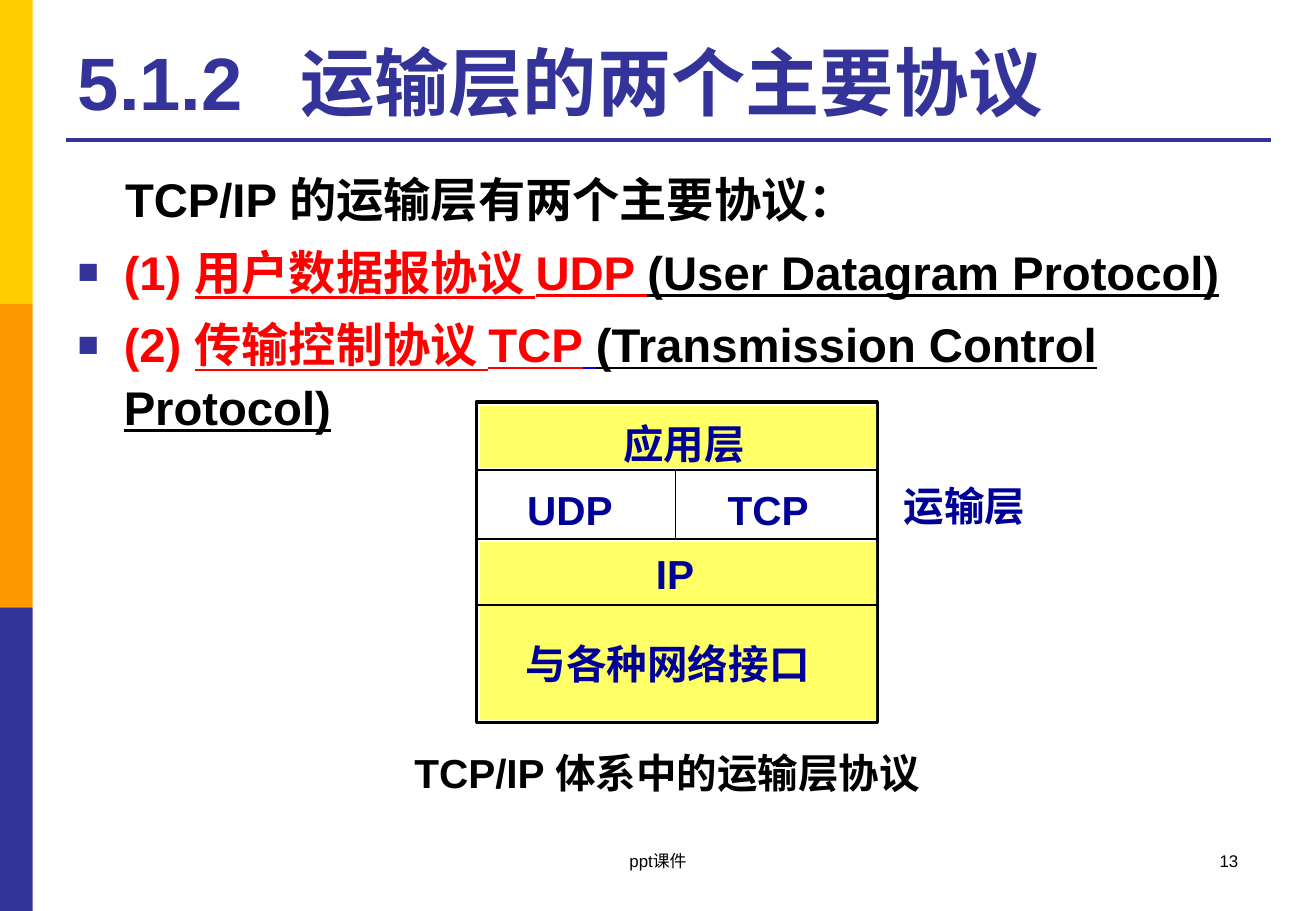
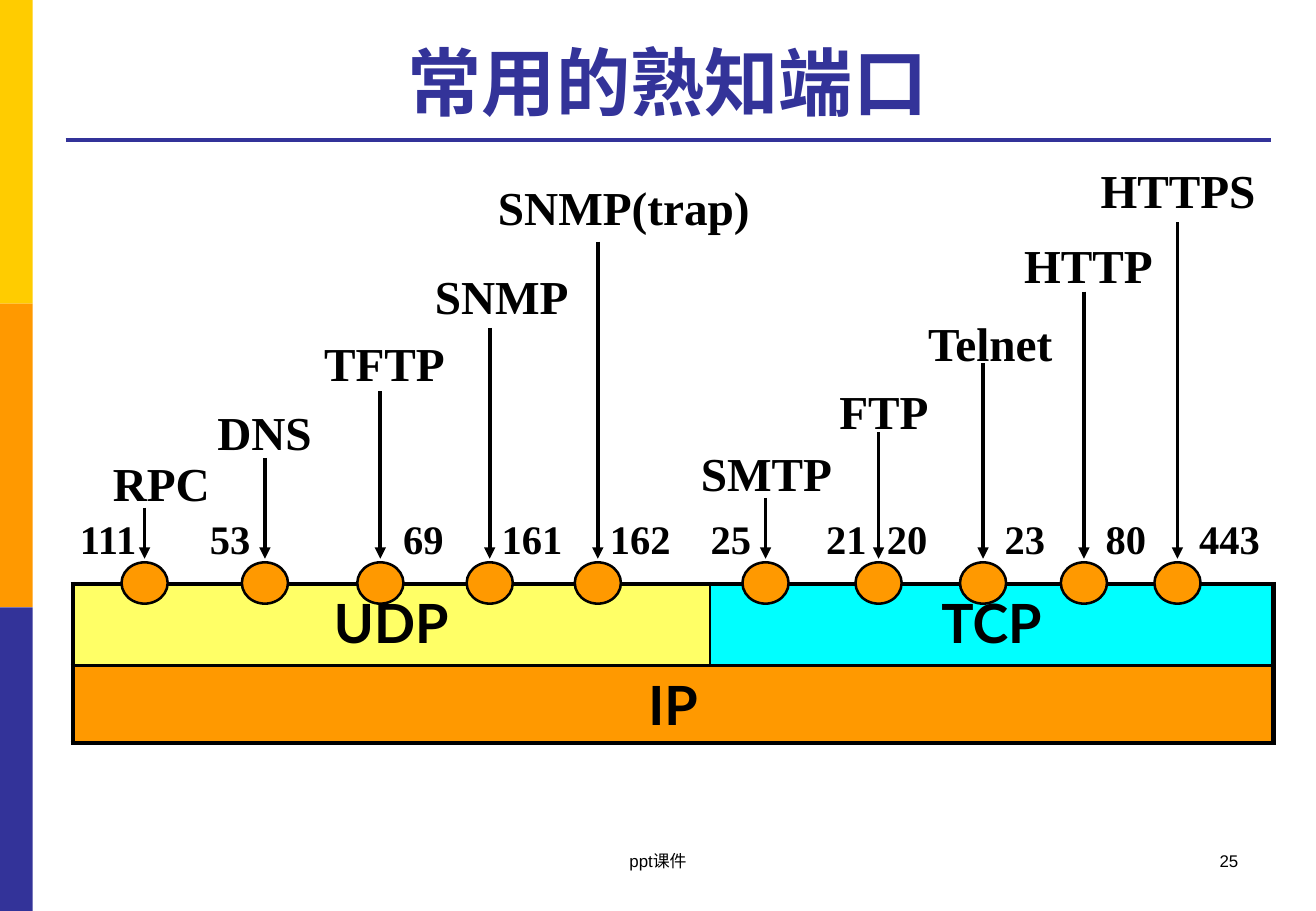
import pptx
import pptx.util
import pptx.dml.color
import pptx.enum.text
import pptx.enum.shapes
import pptx.oxml.ns
import lxml.etree

Inches = pptx.util.Inches
Pt = pptx.util.Pt
ALIGN = pptx.enum.text.PP_ALIGN
SHAPE = pptx.enum.shapes.MSO_SHAPE

BLACK, WHITE, NAVY, RED, BLUE = "000000", "FFFFFF", "000099", "FF0000", "0000FF"
GOLD, ORANGE, INDIGO, YELLOW, CYAN = "FFCC00", "FF9900", "333399", "FFFF66", "00FFFF"

FOOTER = "ppt课件"

PROTOCOL_INTRO = [
    (False, [("\tTCP/IP 的运输层有两个主要协议：", BLACK, False)]),
    (True, [("(1) ", RED, False), ("用户数据报协议 UDP ", RED, True),
            ("(User Datagram Protocol)", BLACK, True)]),
    (True, [("(2) ", RED, False), ("传输控制协议 TCP", RED, True), (" ", BLUE, True),
            ("(Transmission Control Protocol)", BLACK, True)]),
]

STACK_LEFT, STACK_TOP, STACK_WIDTH, STACK_HEIGHT = 3.92, 3.31, 3.3, 2.64
STACK_RIGHT = STACK_LEFT + STACK_WIDTH
STACK_DIVIDERS = [3.87, 4.44, 4.98]
STACK_BANDS = [(3.34, 0.51), (4.46, 1.47)]
STACK_LABELS = [
    ("TCP", 5.89, 3.94, 0.87, False),
    ("UDP", 4.24, 3.94, 0.91, False),
    ("IP", 5.3, 4.47, 0.52, False),
    ("应用层", 5.03, 3.4, 1.21, False),
    ("与各种网络接口", 4.23, 5.21, 2.81, True),
    ("运输层", 7.34, 3.91, 1.22, False),
]

PORT_COLUMNS = [5.24, 4.64]
PORT_ROWS = [0.67, 0.63]
PORT_CELLS = [(0, 0, "UDP", YELLOW), (0, 1, "TCP", CYAN), (1, 0, "IP", ORANGE)]

# name, (left, top, width), arrow x, arrow top, port, (left, width)
SERVICES = [
    ("RPC", (0.83, 3.69, 1.2), 1.19, 4.18, "111", (0.56, 0.89)),
    ("DNS", (1.69, 3.27, 1.44), 2.18, 3.77, "53", (1.63, 1.23)),
    ("TFTP", (2.57, 2.7, 1.8), 3.13, 3.22, "69", (3.22, 1)),
    ("SNMP", (3.48, 2.15, 1.68), 4.03, 2.7, "161", (4.03, 0.89)),
    ("SNMP(trap)", (4, 1.42, 2.37), 4.92, 1.99, "162", (4.92, 0.89)),
    ("SMTP", (5.67, 3.61, 1.56), 6.3, 4.1, "25", (5.75, 1)),
    ("FTP", (6.81, 3.1, 1.44), 7.23, 3.56, "21\t20", (6.7, 1.25)),
    ("Telnet", (7.54, 2.54, 1.68), 8.09, 2.99, "23", (8.17, 1)),
    ("HTTP", (8.33, 1.9, 1.68), 8.92, 2.4, "80", (9, 1)),
    ("HTTPS", (8.96, 1.28, 1.68), 9.69, 1.83, "443", (9.77, 1)),
]
PORT_TOP, ARROW_END, SOCKET_TOP = 4.18, 4.6, 4.63
SOCKET_WIDTH, SOCKET_HEIGHT = 0.38, 0.34


def rgb(color):
    return pptx.dml.color.RGBColor.from_string(color)


def add_xml(parent, tag, **attributes):
    element = lxml.etree.SubElement(parent, pptx.oxml.ns.qn(tag))
    for key, value in attributes.items():
        element.set(key, str(value))
    return element


def add_tab(paragraph, position):
    tabs = add_xml(paragraph._p.get_or_add_pPr(), "a:tabLst")
    add_xml(tabs, "a:tab", pos=Inches(position), algn="l")


def write(paragraph, text, size=24, font="Arial", color=BLACK, bold=True,
          underline=False, align=None, tab=None):
    if tab:
        add_tab(paragraph, tab)
    if align is not None:
        paragraph.alignment = align
    run = paragraph.add_run()
    run.text = text
    run.font.size = Pt(size)
    run.font.name = font
    run.font.bold = bold
    run.font.underline = underline
    run.font.color.rgb = rgb(color)


def text_frame(slide, left, top, width, height, wrap=True, grow=True):
    frame = slide.shapes.add_textbox(*map(Inches, (left, top, width, height))).text_frame
    frame.word_wrap = wrap
    sizes = pptx.enum.text.MSO_AUTO_SIZE
    frame.auto_size = sizes.SHAPE_TO_FIT_TEXT if grow else sizes.NONE
    return frame


def add_label(slide, text, left, top, width, height=0.5, wrap=True, grow=True, **style):
    frame = text_frame(slide, left, top, width, height, wrap, grow)
    write(frame.paragraphs[0], text, **style)


def add_block(slide, kind, left, top, width, height, fill, line=None):
    block = slide.shapes.add_shape(kind, *map(Inches, (left, top, width, height)))
    block.shadow.inherit = False
    block.fill.solid()
    block.fill.fore_color.rgb = rgb(fill)
    if line:
        block.line.color.rgb = rgb(BLACK)
        block.line.width = Pt(line)
    else:
        block.line.fill.background()


def add_line(slide, x1, y1, x2, y2, weight, color=BLACK, arrow=False):
    line = slide.shapes.add_connector(
        pptx.enum.shapes.MSO_CONNECTOR.STRAIGHT, *map(Inches, (x1, y1, x2, y2)))
    line.line.color.rgb = rgb(color)
    line.line.width = Pt(weight)
    if arrow:
        add_xml(line.line._get_or_add_ln(), "a:tailEnd", type="triangle")
    add_xml(line._element.spPr, "a:effectLst")


def add_slide(deck, title, number, align, tab=None):
    slide = deck.slides.add_slide(deck.slide_layouts[5])
    for position, color in enumerate((GOLD, ORANGE, INDIGO)):
        add_block(slide, SHAPE.RECTANGLE, 0, 2.5 * position, 0.27, 2.5, color)
    add_line(slide, 0.54, 1.15, 10.46, 1.15, 2.25, INDIGO)
    heading = slide.shapes.title
    heading.left, heading.top, heading.width, heading.height = map(
        Inches, (0.54, 0.21, 9.91, 0.87))
    frame = heading.text_frame
    frame.auto_size = pptx.enum.text.MSO_AUTO_SIZE.NONE
    frame.vertical_anchor = pptx.enum.text.MSO_ANCHOR.BOTTOM
    write(frame.paragraphs[0], title, size=44, color=INDIGO, align=align, tab=tab)
    for text, left, width, side in ((number, 7.76, 2.53, ALIGN.RIGHT),
                                    (FOOTER, 3.7, 3.43, ALIGN.CENTER)):
        add_label(slide, text, left, 6.95, width, grow=False, size=10, bold=False, align=side)
    return slide


def add_intro(slide):
    frame = text_frame(slide, 0.54, 1.31, 9.91, 5.4, grow=False)
    for index, (bulleted, runs) in enumerate(PROTOCOL_INTRO):
        paragraph = frame.add_paragraph() if index else frame.paragraphs[0]
        properties = paragraph._p.get_or_add_pPr()
        indent = Inches(0.38 if bulleted else 0.39)
        properties.set("marL", str(indent))
        properties.set("indent", str(-indent))
        if bulleted:
            add_xml(add_xml(properties, "a:buClr"), "a:srgbClr", val=INDIGO)
            add_xml(properties, "a:buSzPct", val=75000)
            add_xml(properties, "a:buFont", typeface="Arial")
            add_xml(properties, "a:buChar", char="■")
        else:
            add_xml(properties, "a:buNone")
        paragraph.line_spacing = 1.1
        if index:
            paragraph.space_before = Pt(6)
        for text, color, underline in runs:
            write(paragraph, text, size=28, color=color, underline=underline)


def add_stack(slide):
    add_block(slide, SHAPE.RECTANGLE, STACK_LEFT, STACK_TOP, STACK_WIDTH, STACK_HEIGHT, WHITE, 2)
    for top, height in STACK_BANDS:
        add_block(slide, SHAPE.RECTANGLE, 3.95, top, 3.26, height, YELLOW)
    for y in STACK_DIVIDERS:
        add_line(slide, STACK_LEFT, y, STACK_RIGHT, y, 1)
    add_line(slide, 5.56, STACK_DIVIDERS[0], 5.56, STACK_DIVIDERS[1], 1)
    for text, left, top, width, wrap in STACK_LABELS:
        add_label(slide, text, left, top, width, wrap=wrap, color=NAVY)


def set_borders(cell, **weights):
    properties = cell._tc.get_or_add_tcPr()
    for index, (side, weight) in enumerate(weights.items()):
        edge = add_xml(properties, "a:ln" + side, w=Pt(weight))
        add_xml(add_xml(edge, "a:solidFill"), "a:srgbClr", val=BLACK)
        properties.insert(index, edge)


def add_port_table(slide):
    table = slide.shapes.add_table(
        2, 2, Inches(0.6), Inches(4.81),
        Inches(sum(PORT_COLUMNS)), Inches(sum(PORT_ROWS))).table
    for column, width in zip(table.columns, PORT_COLUMNS):
        column.width = Inches(width)
    for row, height in zip(table.rows, PORT_ROWS):
        row.height = Inches(height)
    table.cell(1, 0).merge(table.cell(1, 1))
    for row, column, text, fill in PORT_CELLS:
        cell = table.cell(row, column)
        cell.fill.solid()
        cell.fill.fore_color.rgb = rgb(fill)
        cell.margin_left = cell.margin_right = Inches(0.11)
        write(cell.text_frame.paragraphs[0], text, size=32, font="Lato", align=ALIGN.CENTER)
        set_borders(cell, L=1.5 if column else 3, R=3 if row or column else 1.5,
                    T=1.5 if row else 3, B=3 if row else 1.5)
    set_borders(table.cell(1, 1), R=3, T=1.5, B=3)


def add_services(slide):
    for name, (left, top, width), x, arrow_top, port, (port_left, port_width) in SERVICES:
        add_label(slide, name, left, top, width, 0.57, size=28, font="Times New Roman")
        add_block(slide, SHAPE.OVAL, x - SOCKET_WIDTH / 2, SOCKET_TOP,
                  SOCKET_WIDTH, SOCKET_HEIGHT, ORANGE, 1.5)
        add_line(slide, x, arrow_top, x, ARROW_END, 2.25, arrow=True)
        add_label(slide, port, port_left, PORT_TOP, port_width, font="Times New Roman",
                  tab=0.5 if "\t" in port else None)


def main():
    deck = pptx.Presentation()
    deck.slide_width, deck.slide_height = Inches(10.83), Inches(7.5)

    protocols = add_slide(deck, "5.1.2\t运输层的两个主要协议", "13", ALIGN.LEFT, tab=1.83)
    add_intro(protocols)
    add_stack(protocols)
    add_label(protocols, "TCP/IP 体系中的运输层协议", 2.82, 6.11, 5.34, align=ALIGN.CENTER)

    ports = add_slide(deck, "常用的熟知端口", "25", ALIGN.CENTER)
    add_port_table(ports)
    add_services(ports)

    deck.save("out.pptx")


if __name__ == "__main__":
    main()
